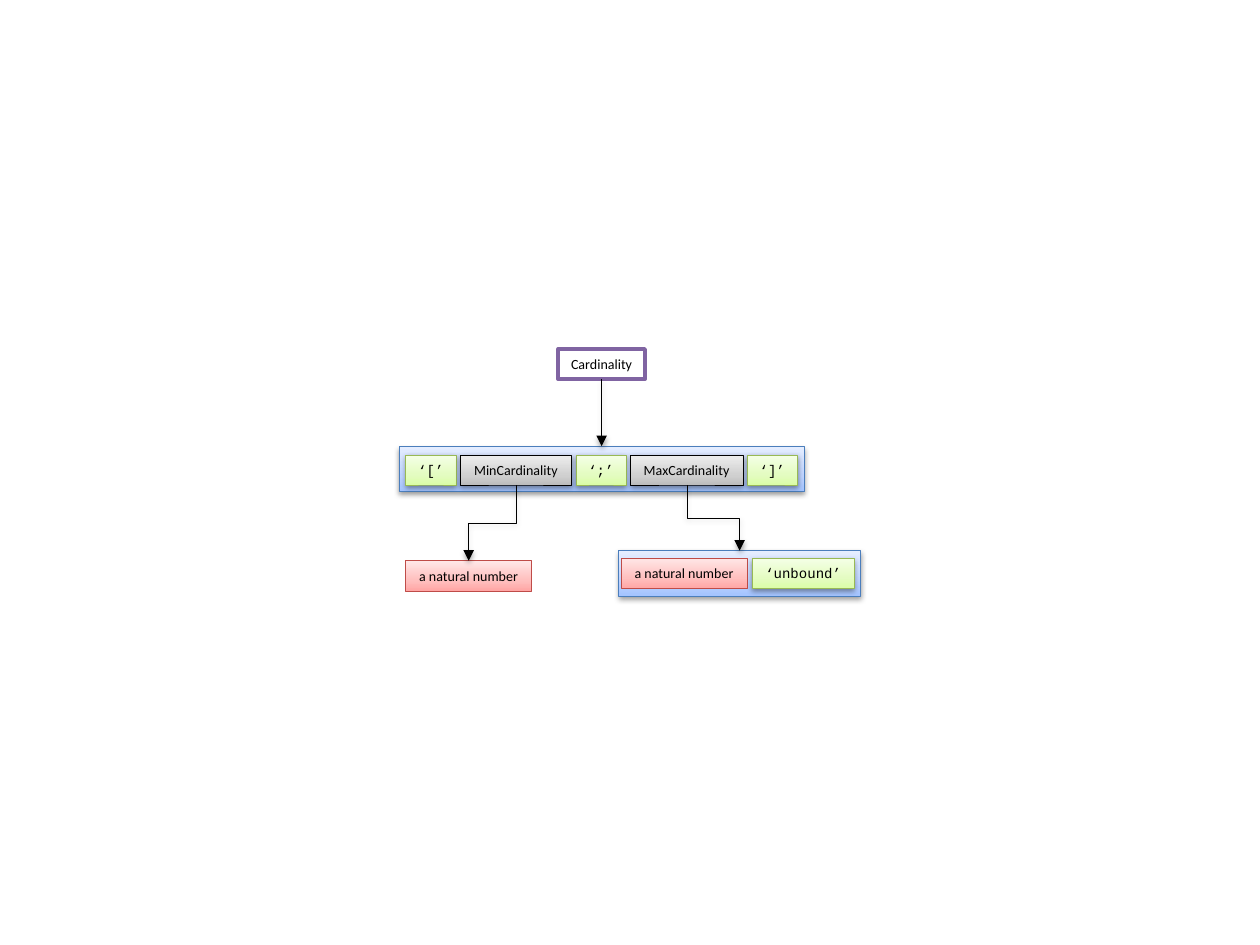
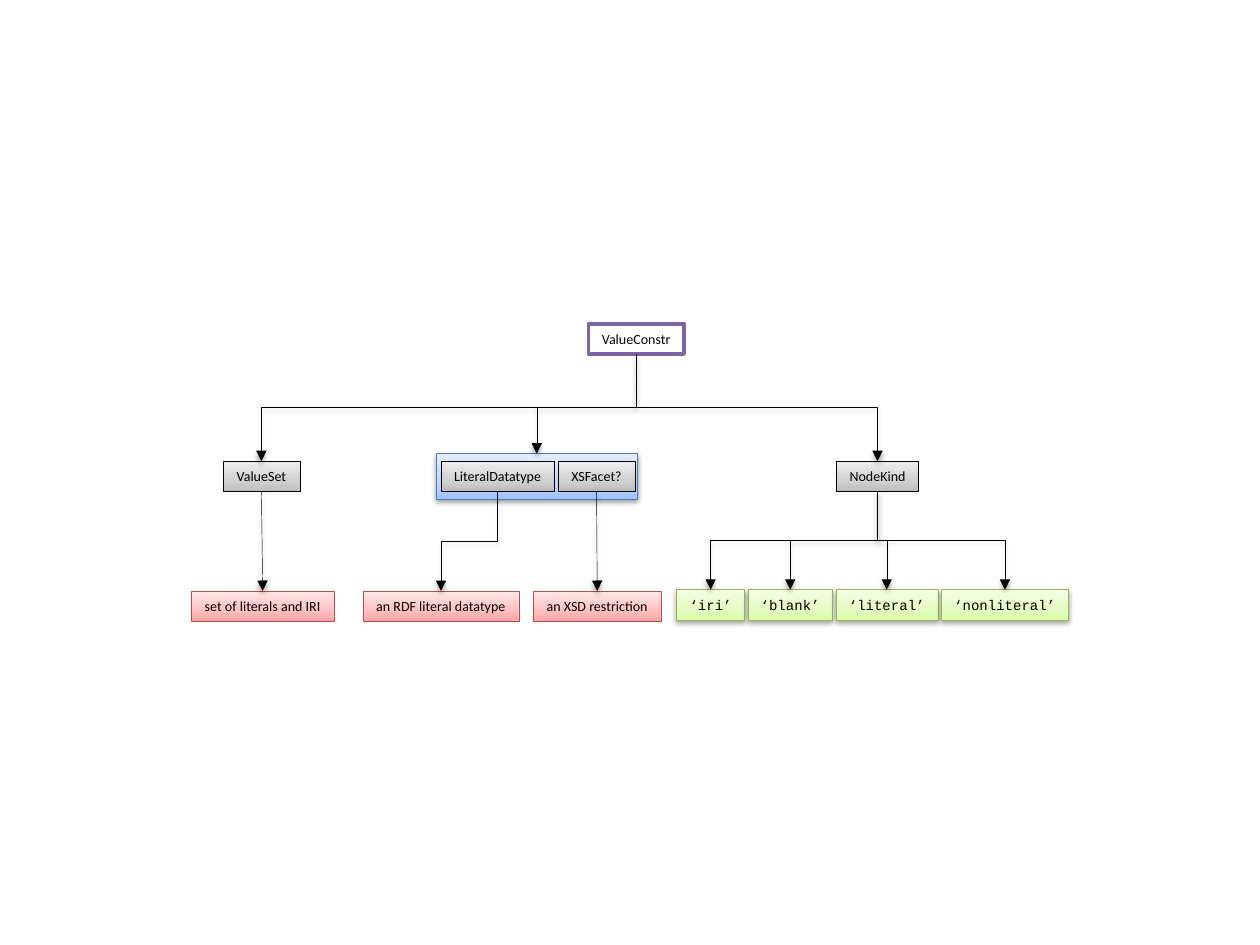
from copy import deepcopy
from dataclasses import dataclass, field, replace

from lxml.etree import SubElement
from pptx import Presentation
from pptx.dml.color import RGBColor
from pptx.enum.shapes import MSO_CONNECTOR as Cxn, MSO_SHAPE as Shape
from pptx.enum.text import MSO_ANCHOR as Anchor, MSO_AUTO_SIZE as Fit, PP_ALIGN as Align
from pptx.oxml.ns import qn
from pptx.util import Inches, Pt


@dataclass(frozen=True)
class Style:
    fill: tuple
    line: str
    weight: float = 0.25
    font: str = "Calibri"
    shadow: bool = False


GREY = Style(("BDBDBD", "D1D1D1", "EEEEEE"), "000000")


@dataclass(frozen=True)
class Theme:
    ink: str = "000000"
    size: float = 8
    box_h: float = 0.24
    panel_h: float = 0.36
    stops: tuple = (0, 0.35, 1)
    styles: dict = field(default_factory=lambda: {
        "root": Style(("FFFFFF",), "8064A2", weight=2),
        "panel": Style(("A4C4FF", "BFD4FF", "E6EEFF"), "4B7EBC", shadow=True),
        "rule": GREY,
        "raised_rule": replace(GREY, shadow=True),
        "keyword": Style(("DAFDA7", "E4FCC2", "F5FFE7"), "98B955",
                         font="Courier New", shadow=True),
        "terminal": Style(("FFA6A5", "FFC0BF", "FFE7E7"), "BF4C48"),
    })


THEME = Theme()


def set_all(obj, values):
    for name, value in values.items():
        setattr(obj, name, value)


def rgb(value):
    return RGBColor.from_string(value)


def add_shadow(sp_pr):
    effects = sp_pr.find(qn("a:effectLst"))
    if effects is None:
        effects = SubElement(sp_pr, qn("a:effectLst"))
    outer = SubElement(effects, qn("a:outerShdw"), blurRad="39400", dist="20300",
                       dir="5400000", rotWithShape="0")
    color = SubElement(outer, qn("a:srgbClr"), val=THEME.ink)
    SubElement(color, qn("a:alpha"), val="38000")


def paint(sp, colors):
    if len(colors) == 1:
        sp.fill.solid()
        sp.fill.fore_color.rgb = rgb(colors[0])
        return
    sp.fill.gradient()
    sp.fill.gradient_angle = 90
    first = sp._element.spPr.find(".//" + qn("a:gs"))
    first.addnext(deepcopy(first))
    for stop, position, color in zip(sp.fill.gradient_stops, THEME.stops, colors):
        stop.position = position
        stop.color.rgb = rgb(color)


def add_box(s, kind, left, top, width, text="", height=THEME.box_h):
    style = THEME.styles[kind]
    sp = s.shapes.add_shape(Shape.RECTANGLE, *map(Inches, (left, top, width, height)))
    sp.shadow.inherit = False
    paint(sp, style.fill)
    sp.line.color.rgb = rgb(style.line)
    sp.line.width = Pt(style.weight)
    if style.shadow:
        add_shadow(sp._element.spPr)
    if text:
        tf = sp.text_frame
        set_all(tf, {"word_wrap": False, "auto_size": Fit.SHAPE_TO_FIT_TEXT,
                     "vertical_anchor": Anchor.MIDDLE})
        p = tf.paragraphs[0]
        p.alignment = Align.CENTER
        r = p.add_run()
        r.text = text
        set_all(r.font, {"name": style.font, "size": Pt(THEME.size)})
        r.font.color.rgb = rgb(THEME.ink)
    return sp


def add_row(s, left, top, width, items):
    gap = (width - sum(w for _, _, w in items)) / (len(items) - 1)
    boxes = []
    for kind, text, w in items:
        boxes.append(add_box(s, kind, left, top, w, text))
        left += w + gap
    return boxes


def add_panel(s, left, top, width):
    return add_box(s, "panel", left, top, width, height=THEME.panel_h)


def turn_down(cxn, x1, y1, x2, y2, bend):
    dx, dy = x2 - x1, y2 - y1
    set_all(cxn, {"left": (x1 + x2 - dy) // 2, "top": (y1 + y2 - abs(dx)) // 2,
                  "width": dy, "height": abs(dx)})
    sp_pr = cxn._element.spPr
    xfrm = sp_pr.find(qn("a:xfrm"))
    xfrm.attrib.pop("flipV", None)
    xfrm.set("flipH", "1" if dx > 0 else "0")
    xfrm.set("rot", "16200000" if dx > 0 else "5400000")
    guides = sp_pr.find(".//" + qn("a:avLst"))
    share = (bend - y1) / dy if bend else 0.5
    SubElement(guides, qn("a:gd"), name="adj1", fmla=f"val {round(share * 100000)}")


def link(s, parent, child, bend=None):
    x1, y1 = parent.left + parent.width // 2, parent.top + parent.height
    x2, y2 = child.left + child.width // 2, child.top
    straight = abs(x2 - x1) < Inches(0.02)
    kind = Cxn.STRAIGHT if straight else Cxn.ELBOW
    cxn = s.shapes.add_connector(kind, x1, y1, x2, y2)
    cxn.begin_connect(parent, 2)
    cxn.end_connect(child, 0)
    if not straight:
        turn_down(cxn, x1, y1, x2, y2, bend)
    cxn.line.color.rgb = rgb(THEME.ink)
    cxn.line.width = Pt(0.25)
    SubElement(cxn.line._get_or_add_ln(), qn("a:tailEnd"), type="triangle")
    add_shadow(cxn._element.spPr)


def cardinality_tree(s, x, y):
    root = add_box(s, "root", x + 1.26, y, 0.69, "Cardinality")
    sequence = add_panel(s, x, y + 0.77, 3.21)
    _, minimum, _, maximum, _ = add_row(s, x + 0.05, y + 0.84, 3.11, [
        ("keyword", "‘[’", 0.4),
        ("raised_rule", "MinCardinality", 0.88),
        ("keyword", "‘;’", 0.4),
        ("raised_rule", "MaxCardinality", 0.89),
        ("keyword", "‘]’", 0.4),
    ])
    number = add_box(s, "terminal", x + 0.05, y + 1.68, 1, "a natural number")
    choice = add_panel(s, x + 1.74, y + 1.6, 1.92)
    add_row(s, x + 1.76, y + 1.66, 1.85, [
        ("terminal", "a natural number", 1),
        ("keyword", "‘unbound’", 0.81),
    ])
    for parent, child in ((minimum, number), (maximum, choice), (root, sequence)):
        link(s, parent, child)


def value_constraint_tree(s, x, y):
    root = add_box(s, "root", x + 3.15, y, 0.76, "ValueConstr")
    value_set = add_box(s, "rule", x + 0.25, y + 1.09, 0.61, "ValueSet")
    node_kind = add_box(s, "rule", x + 5.12, y + 1.09, 0.65, "NodeKind")
    typed = add_panel(s, x + 1.94, y + 1.03, 1.6)
    datatype, facet = add_row(s, x + 1.98, y + 1.09, 1.54, [
        ("rule", "LiteralDatatype", 0.9),
        ("rule", "XSFacet?", 0.61),
    ])
    terminals = [
        (value_set, 0, 1.13, "set of literals and IRI"),
        (datatype, 1.36, 1.24, "an RDF literal datatype"),
        (facet, 2.71, 1.02, "an XSD restriction"),
    ]
    for parent, left, width, text in terminals:
        link(s, parent, add_box(s, "terminal", x + left, y + 2.12, width, text))
    keywords = add_row(s, x + 3.85, y + 2.11, 3.11, [
        ("keyword", "‘iri’", 0.54),
        ("keyword", "‘blank’", 0.67),
        ("keyword", "‘literal’", 0.81),
        ("keyword", "‘nonliteral’", 1.01),
    ])
    for keyword in keywords:
        link(s, node_kind, keyword)
    for branch in (typed, value_set, node_kind):
        link(s, root, branch, bend=Inches(y + 0.66))


def main():
    prs = Presentation()
    set_all(prs, {"slide_width": Inches(10), "slide_height": Inches(7.5)})
    blank = prs.slide_layouts[6]
    cardinality_tree(prs.slides.add_slide(blank), 3.17, 2.77)
    value_constraint_tree(prs.slides.add_slide(blank), 1.52, 2.57)
    prs.save("out.pptx")


if __name__ == "__main__":
    main()
